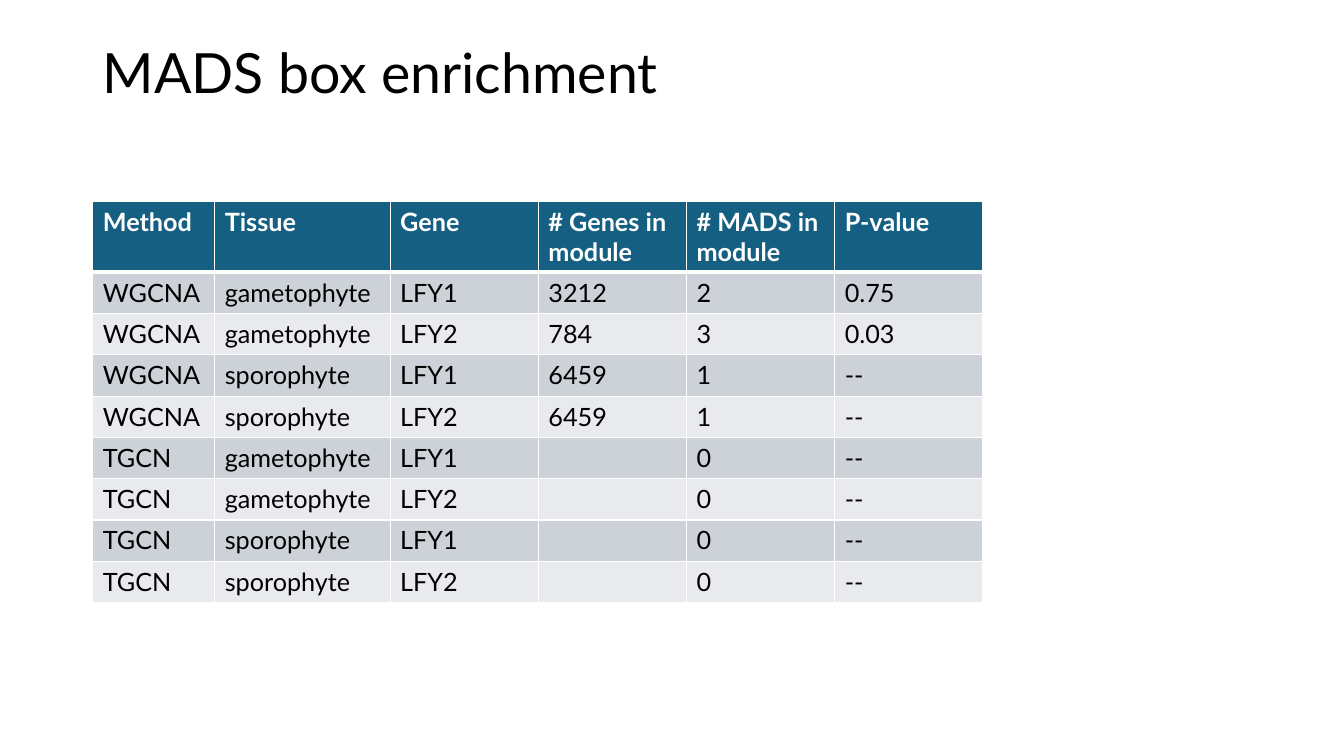
from lxml.etree import SubElement
from pptx import Presentation
from pptx.dml.color import RGBColor
from pptx.enum.text import MSO_ANCHOR, MSO_AUTO_SIZE, PP_ALIGN
from pptx.oxml.ns import qn
from pptx.util import Inches, Pt

FONT = "Lato"
WHITE, BLACK, BLUE = "FFFFFF", "000000", "156082"
BANDS = ["CCD2D8", "E8EAED"]
WIDTHS = [1.21, 1.74] + [1.47] * 4
HEAD = ["Method", "Tissue", "Gene", "# Genes in module",
        "# MADS in module", "P-value"]
BODY = [
    ["WGCNA", "gametophyte", "LFY1", "3212", "2", "0.75"],
    ["WGCNA", "gametophyte", "LFY2", "784", "3", "0.03"],
    ["WGCNA", "sporophyte", "LFY1", "6459", "1", "--"],
    ["WGCNA", "sporophyte", "LFY2", "6459", "1", "--"],
    ["TGCN", "gametophyte", "LFY1", "", "0", "--"],
    ["TGCN", "gametophyte", "LFY2", "", "0", "--"],
    ["TGCN", "sporophyte", "LFY1", "", "0", "--"],
    ["TGCN", "sporophyte", "LFY2", "", "0", "--"],
]


def color(code):
    return RGBColor.from_string(code)


def style(para, size, code, bold=False):
    for run in para.runs:
        font = run.font
        font.name, font.size, font.bold = FONT, Pt(size), bold
        font.color.rgb = color(code)


def add_title(slide, text):
    title = slide.shapes.title
    title.left, title.top = Inches(0.92), Inches(0.4)
    title.width, title.height = Inches(11.5), Inches(0.69)
    frame = title.text_frame
    frame.text = text
    frame.word_wrap = True
    frame.auto_size = MSO_AUTO_SIZE.NONE
    frame.vertical_anchor = MSO_ANCHOR.MIDDLE
    para = frame.paragraphs[0]
    para.alignment = PP_ALIGN.LEFT
    para.line_spacing = 0.9
    style(para, 39.6, BLACK)


def add_edges(cell, top, bottom):
    # Borders come before the fill in the cell properties
    props = cell._tc.get_or_add_tcPr()
    for side, width in (("L", 1), ("R", 1), ("T", top), ("B", bottom)):
        line = SubElement(props, qn("a:ln" + side), w=str(Pt(width)))
        fill = SubElement(line, qn("a:solidFill"))
        SubElement(fill, qn("a:srgbClr"), val=WHITE)


def fill_cell(cell, text, row):
    head = row == 0
    add_edges(cell, 3 if row == 1 else 1, 3 if head else 1)
    cell.fill.solid()
    cell.fill.fore_color.rgb = color(BLUE if head else BANDS[(row - 1) % 2])
    cell.text_frame.text = text
    style(cell.text_frame.paragraphs[0], 18, WHITE if head else BLACK, head)


def add_grid(slide, rows):
    shape = slide.shapes.add_table(
        len(rows), len(WIDTHS), Inches(0.92), Inches(2),
        Inches(sum(WIDTHS)), Inches(3.94))
    table = shape.table
    for col, width in zip(table.columns, WIDTHS):
        col.width = Inches(width)
    for i, texts in enumerate(rows):
        table.rows[i].height = Inches(0.41)
        for j, text in enumerate(texts):
            fill_cell(table.cell(i, j), text, i)
    # Room for the two-line header
    shape.height = Inches(3.94)


def main():
    deck = Presentation()
    deck.slide_width, deck.slide_height = Inches(13.33), Inches(7.5)
    slide = deck.slides.add_slide(deck.slide_layouts[5])
    add_title(slide, "MADS box enrichment")
    add_grid(slide, [HEAD] + BODY)
    deck.save("out.pptx")


if __name__ == "__main__":
    main()
